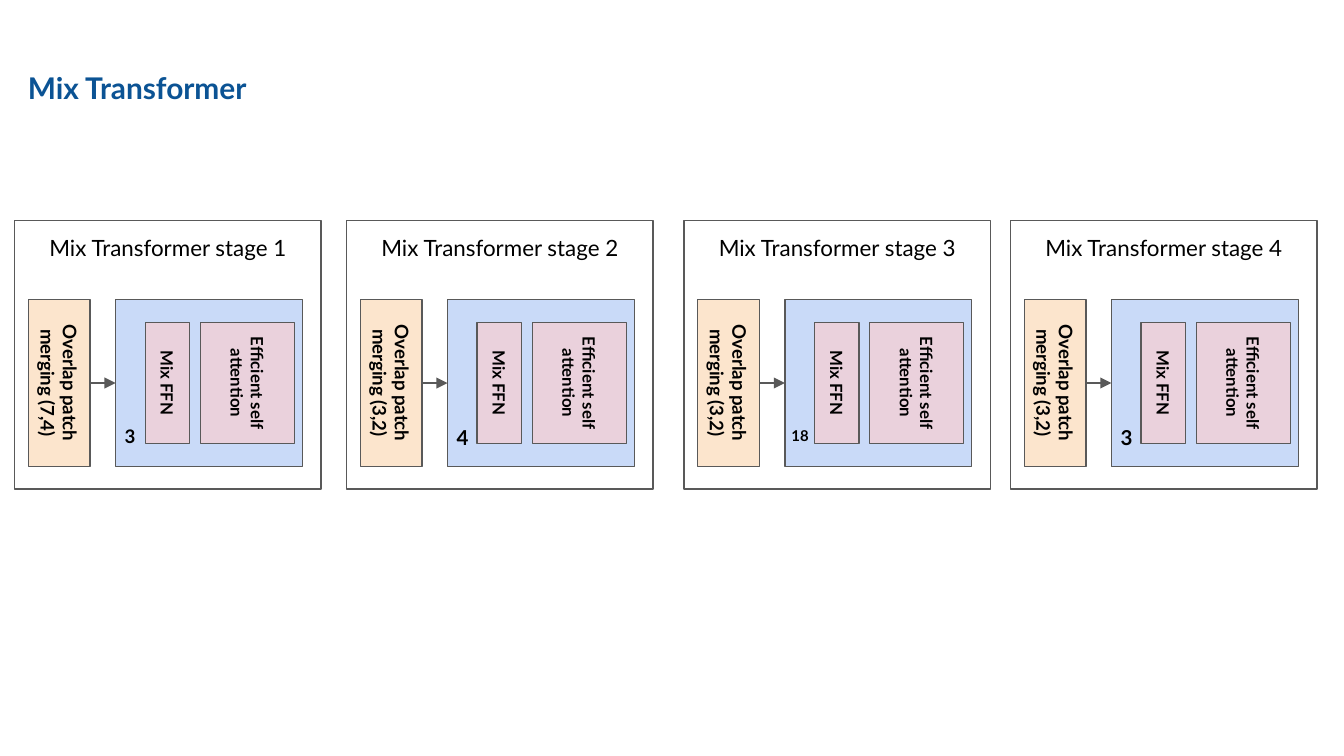
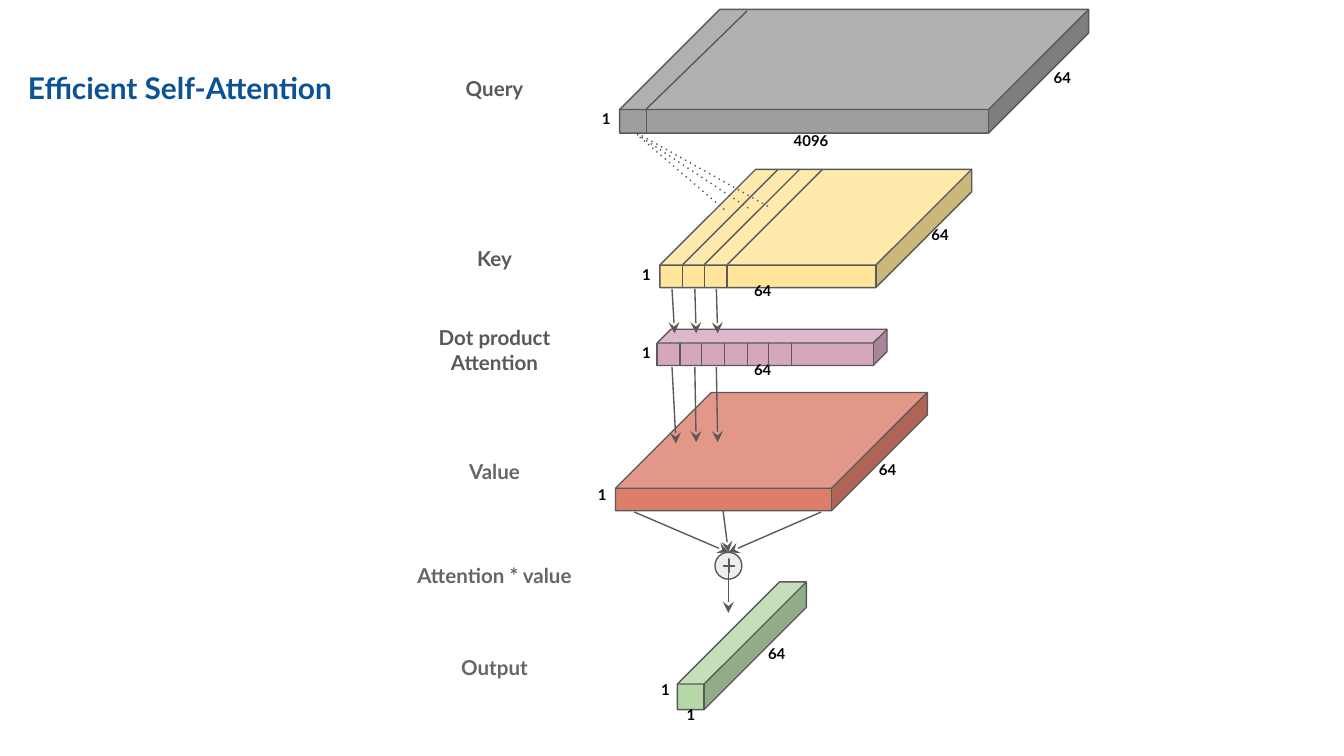
import lxml.etree
import pptx
import pptx.dml.color
import pptx.enum.shapes
import pptx.enum.text
import pptx.oxml.ns
import pptx.util

PX = 9144
WIDE = 1000
FONT = "Lato"
INSET = 10
EDGE = 0.75
FORM = pptx.enum.shapes.MSO_SHAPE
ALIGN = pptx.enum.text.PP_ALIGN
HUES = {
    "title": "0B5394", "ink": "000000", "line": "595959", "soft": "666666",
    "peach": "FCE5CD", "blue": "C9DAF8", "rose": "EAD1DC", "query": "9E9E9E",
    "key": "FFE599", "dot": "D5A6BD", "value": "DD7E6B", "output": "B6D7A8",
    "pale": "EEEEEE",
}


def px(count):
    return pptx.util.Emu(int(count * PX))


def hue(name):
    return pptx.dml.color.RGBColor.from_string(HUES[name])


def write(shape, text, size=8, color="ink", bold=True, center=True, middle=False):
    frame = shape.text_frame
    frame.word_wrap = True
    frame.margin_left = frame.margin_right = px(INSET)
    frame.margin_top = frame.margin_bottom = px(INSET)
    anchor = pptx.enum.text.MSO_ANCHOR
    frame.vertical_anchor = anchor.MIDDLE if middle else anchor.TOP
    frame.text = text
    for para in frame.paragraphs:
        para.alignment = ALIGN.CENTER if center else ALIGN.LEFT
        para.font.name = FONT
        para.font.size = pptx.util.Pt(size)
        para.font.bold = bold
        para.font.color.rgb = hue(color)


def label(host, left, top, width, height, text, grow=True, **format):
    box = host.add_textbox(px(left), px(top), px(width), px(height))
    write(box, text, **format)
    if grow:
        box.text_frame.auto_size = pptx.enum.text.MSO_AUTO_SIZE.SHAPE_TO_FIT_TEXT


def title(host, width, text):
    label(host, 11, 42, width, 88, text, grow=False, size=16, color="title", center=False)


def shape(host, form, left, top, width, height, fill=None, adjust=None):
    item = host.add_shape(form, px(left), px(top), px(width), px(height))
    item.shadow.inherit = False
    if fill:
        item.fill.solid()
        item.fill.fore_color.rgb = hue(fill)
    else:
        item.fill.background()
    item.line.color.rgb = hue("line")
    item.line.width = pptx.util.Pt(EDGE)
    if adjust is not None:
        item.adjustments[0] = adjust
    return item


def upright(host, left, top, width, height, fill, text=None, size=9):
    shift = (width - height) / 2
    item = shape(host, FORM.RECTANGLE, left + shift, top - shift, height, width, fill)
    item.rotation = 90
    if text:
        write(item, text, size=size, middle=True)
    return item


def line(host, x1, y1, x2, y2, head=None, dash=None, start=None, end=None):
    kind = pptx.enum.shapes.MSO_CONNECTOR.STRAIGHT
    item = host.add_connector(kind, px(x1), px(y1), px(x2), px(y2))
    if start:
        item.begin_connect(*start)
    if end:
        item.end_connect(*end)
    item.begin_x, item.begin_y = px(x1), px(y1)
    item.end_x, item.end_y = px(x2), px(y2)
    item.line.color.rgb = hue("line")
    item.line.width = pptx.util.Pt(EDGE)
    qn = pptx.oxml.ns.qn
    props = item._element.spPr
    stroke = props.find(qn("a:ln"))
    if dash:
        lxml.etree.SubElement(stroke, qn("a:prstDash")).set("val", dash)
    if head:
        lxml.etree.SubElement(stroke, qn("a:tailEnd")).set("type", head)
    lxml.etree.SubElement(props, qn("a:effectLst"))


def stage(slide, index, left, patch, count, size, nudge, width, height):
    host = slide.shapes.add_group_shape().shapes
    panel = shape(host, FORM.RECTANGLE, left, 164, 228, 200)
    write(panel, f"Mix Transformer stage {index}", size=12, bold=False)
    merge = upright(host, left + 10, 223, 46, 124, "peach",
                    f"Overlap patch merging ({patch})", size=10)
    block = upright(host, left + 75, 223, 139, 124, "blue")
    upright(host, left + 138, 240, 70, 90, "rose", "Efficient self attention")
    upright(host, left + 97, 240, 33, 90, "rose", "Mix FFN")
    label(host, left + 72 - nudge, 345 - height, width, height, count,
          size=size, center=False)
    line(host, left + 56, 285, left + 75, 285, head="triangle",
         start=(merge, 0), end=(block, 2))


def cube(slide, left, top, width, height, adjust, fill, tags):
    host = slide.shapes.add_group_shape().shapes
    shape(host, FORM.CUBE, left, top, width, height, fill, adjust)
    for text, x, y, span in tags:
        label(host, x, y, span, 34, text)
    return host


def arrows(host, top, foot, lean):
    for x, tip, drop in ((500, 502 + lean, lean), (517, 518, 0), (533, 534, 0)):
        line(host, x, top, tip, foot + drop, head="stealth")


def mixer(slide):
    title(slide.shapes, 416, "Mix Transformer")
    stages = (
        (11, "7,4", "3", 10, 0, 24, 37),
        (258, "3,2", "4", 11, 0, 24, 38),
        (509, "3,2", "18", 8, 2, 39, 34),
        (752, "3,2", "3", 11, 0, 24, 38),
    )
    for index, facts in enumerate(stages, 1):
        stage(slide, index, *facts)


def focus(slide):
    root = slide.shapes
    score = cube(slide, 489, 245, 171, 27, 0.38, "dot",
                 (("64", 537, 262, 61), ("1", 468, 249, 23)))
    for step in range(7):
        x = round(489 + step * 100 / 6)
        line(score, x, 255, x, 272)
    title(root, 276, "Efficient Self-Attention")

    query = cube(slide, 461, 7, 349, 92, 0.81, "query",
                 (("1", 438, 75, 23), ("4096", 573, 91, 61), ("64", 770, 44, 41)))
    line(query, 481, 82, 481, 100)
    line(query, 556, 8, 480, 82)

    key = cube(slide, 491, 126, 232, 88, 0.81, "key",
               (("1", 468, 191, 23), ("64", 537, 203, 61), ("64", 679, 161, 41)))
    for x in (508, 524, 541):
        line(key, x, 198, x, 214)
        line(key, x + 71, 126, x, 197)
    arrows(key, 215, 248, 0)
    for x1, y1, x2, y2 in ((476, 102, 539, 156), (474, 99, 574, 155), (474, 100, 557, 155)):
        line(root, x1, y1, x2, y2, dash="dot")

    cube(slide, 458, 292, 232, 88, 0.81, "value",
         (("1", 435, 355, 23), ("64", 640, 336, 41)))
    arrows(root, 273, 329, 1)
    cube(slide, 504, 433, 96, 95, 0.8, "output",
         (("1", 482, 500, 21), ("1", 501, 518, 21), ("64", 561, 473, 34)))

    shape(root, FORM.OVAL, 532, 411, 20, 20, "pale")
    for x, y in ((472, 381), (611, 381), (538, 380)):
        line(root, x, y, 542, 411, head="stealth")
    shape(root, FORM.MATH_PLUS, 537, 414, 11, 14, "pale", 0.01)
    line(root, 542, 426, 542, 456, head="stealth")

    names = (
        ("Query", 47, "line"), ("Key", 174, "line"),
        ("Dot product\nAttention", 232, "line"), ("Value", 332, "soft"),
        ("Attention * value", 410, "soft"), ("Output", 478, "soft"),
    )
    for text, top, color in names:
        height = 39 + 18 * text.count("\n")
        label(root, 283, top, 170, height, text, size=11, color=color)


def main():
    deck = pptx.Presentation()
    deck.slide_width = px(WIDE)
    deck.slide_height = px(WIDE * 9 / 16)
    for build in (mixer, focus):
        build(deck.slides.add_slide(deck.slide_layouts[6]))
    deck.save("out.pptx")


if __name__ == "__main__":
    main()
